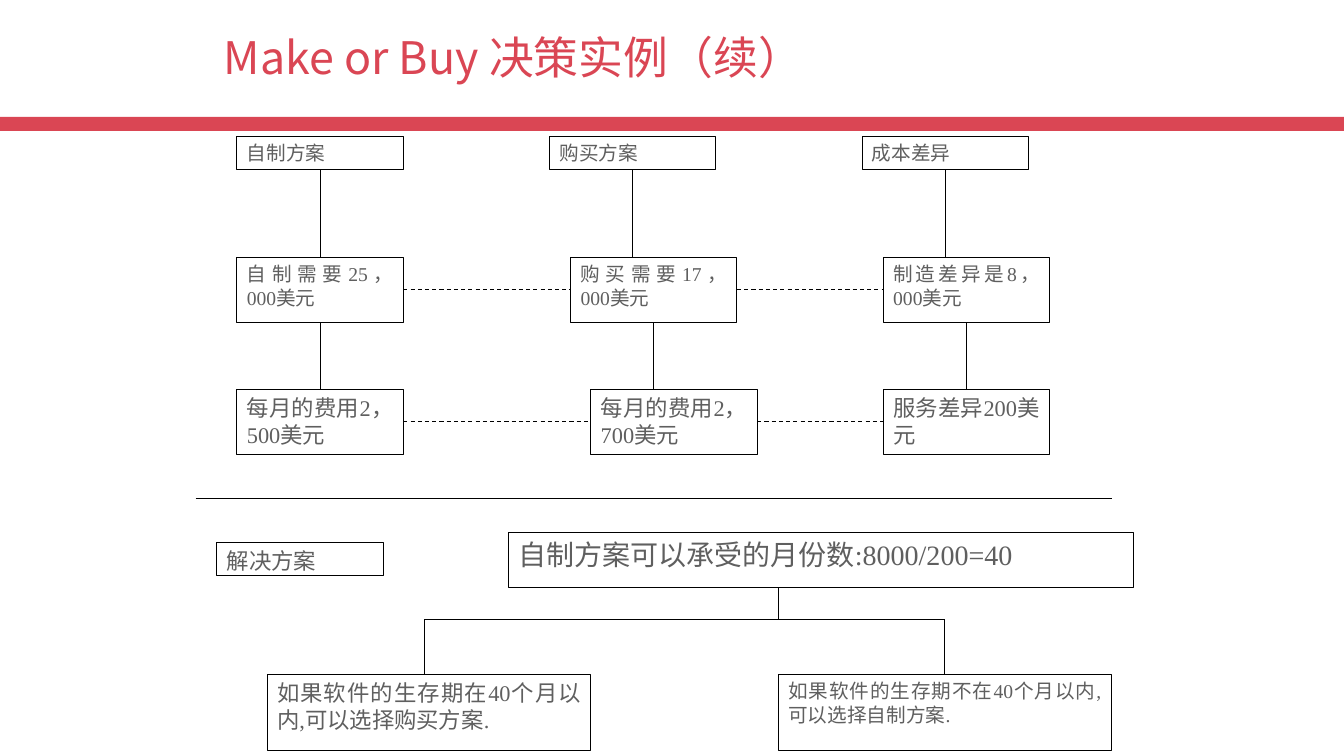
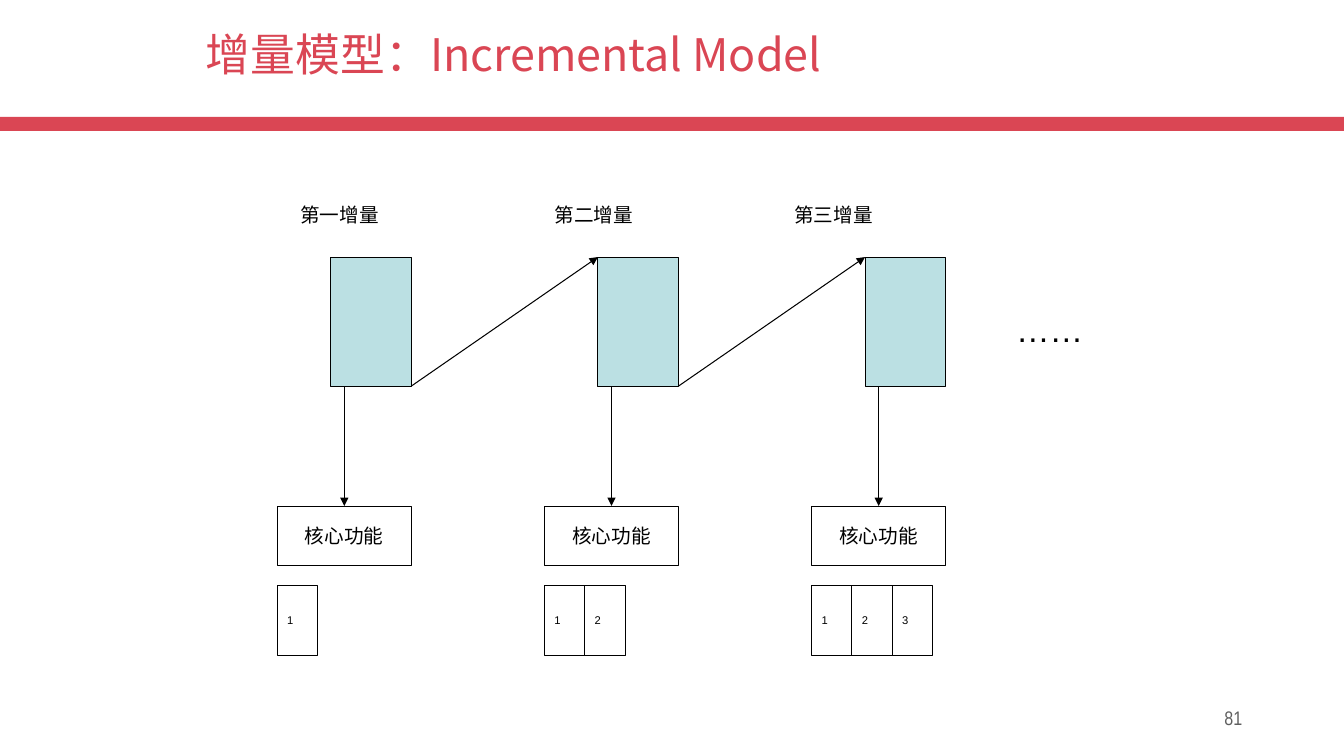
import pptx
import pptx.dml.color
import pptx.enum.dml
import pptx.enum.shapes
import pptx.enum.text
import pptx.oxml
import pptx.oxml.ns
import pptx.util
from pptx.util import Inches

COLORS = {"red": "DA4654", "white": "FFFFFF", "black": "000000",
          "gray": "5F5F5F", "aqua": "BBE0E3"}
CJK = "Noto Sans CJK SC"
ALIGN = pptx.enum.text.PP_ALIGN
ANCHOR = pptx.enum.text.MSO_ANCHOR


def rgb(name):
    """Return the palette colour called name."""
    return pptx.dml.color.RGBColor.from_string(COLORS[name])


class Deck:
    """Hold the shared style and the current slide."""

    def __init__(self):
        """Start an empty widescreen presentation."""
        self.prs = pptx.Presentation()
        self.prs.slide_width = Inches(13.33)
        self.prs.slide_height = Inches(7.5)

    def slide(self, title, x, y, w, h):
        """Add a slide with the red band and a title."""
        self.s = self.prs.slides.add_slide(self.prs.slide_layouts[5])
        self.box(0, 1.16, 13.33, 0.14, fill="red", line=None)
        sp = self.s.shapes.title
        sp.left, sp.top, sp.width, sp.height = map(Inches, (x, y, w, h))
        self.add_text(sp, title, 32, CJK, "red", ALIGN.LEFT)
        sp.text_frame.paragraphs[0].line_spacing = 0.9

    def add_text(self, sp, text, size, font, color, align=ALIGN.JUSTIFY, anchor=ANCHOR.TOP):
        """Put one formatted run into a shape."""
        tf = sp.text_frame
        tf.word_wrap = True
        tf.auto_size = pptx.enum.text.MSO_AUTO_SIZE.NONE
        tf.vertical_anchor = anchor
        p = tf.paragraphs[0]
        p.alignment = align
        r = p.add_run()
        r.text = text
        r.font.size = pptx.util.Pt(size)
        r.font.name = font
        r.font.color.rgb = rgb(color)
        ea = pptx.oxml.parse_xml(f'<a:ea {pptx.oxml.ns.nsdecls("a")} typeface="{CJK}"/>')
        r._r.get_or_add_rPr().append(ea)

    def box(self, x, y, w, h, fill=None, line="black"):
        """Add a rectangle."""
        sp = self.s.shapes.add_shape(pptx.enum.shapes.MSO_SHAPE.RECTANGLE,
                                     *map(Inches, (x, y, w, h)))
        sp.shadow.inherit = False
        if fill:
            sp.fill.solid()
            sp.fill.fore_color.rgb = rgb(fill)
        else:
            sp.fill.background()
        if line:
            sp.line.color.rgb = rgb(line)
            sp.line.width = pptx.util.Pt(0.75)
        else:
            sp.line.fill.background()
        return sp

    def note(self, text, x, y, w, h, size=14):
        """Add a white box with gray text."""
        sp = self.box(x, y, w, h, fill="white")
        self.add_text(sp, text, size, "Times New Roman", "gray")
        return sp

    def label(self, text, x, y, w, h, size=14, font="Arial", color="black",
              align=ALIGN.JUSTIFY):
        """Add a text box."""
        sp = self.s.shapes.add_textbox(*map(Inches, (x, y, w, h)))
        self.add_text(sp, text, size, font, color, align)

    def line(self, x1, y1, x2, y2, begin=None, end=None, dash=False, arrow=False):
        """Add a straight line, joined to (shape, side) where given."""
        c = self.s.shapes.add_connector(pptx.enum.shapes.MSO_CONNECTOR.STRAIGHT,
                                        *map(Inches, (x1, y1, x2, y2)))
        if begin:
            c.begin_connect(*begin)
        if end:
            c.end_connect(*end)
        c.line.color.rgb = rgb("black")
        c.line.width = pptx.util.Pt(0.75)
        if dash:
            c.line.dash_style = pptx.enum.dml.MSO_LINE.DASH
        ns = pptx.oxml.ns.nsdecls("a")
        if arrow:
            c._element.spPr.get_or_add_ln().append(
                pptx.oxml.parse_xml(f'<a:tailEnd {ns} type="triangle"/>'))
        c._element.spPr.append(pptx.oxml.parse_xml(f"<a:effectLst {ns}/>"))


def decision_slide(d):
    """Build the make-or-buy comparison."""
    d.slide("Make or Buy 决策实例（续）", 2.12, 0.3, 8.92, 1.08)
    w = 1.65
    rows = [
        (1.35, 0.33, 14, (2.35, 5.45, 8.55), ("自制方案", "购买方案", "成本差异")),
        (2.55, 0.65, 14, (2.35, 5.66, 8.76),
         ("自制需要25，000美元", "购买需要17，000美元", "制造差异是8，000美元")),
        (3.86, 0.65, 16, (2.35, 5.86, 8.76),
         ("每月的费用2，500美元", "每月的费用2，700美元", "服务差异200美元")),
    ]
    grid = [[d.note(text, x, y, w, h, size) for x, text in zip(xs, texts)]
            for y, h, size, xs, texts in rows]
    for i, (y, h, _, xs, _) in enumerate(rows[:-1]):
        next_y, next_xs = rows[i + 1][0], rows[i + 1][3]
        for j, x in enumerate(xs):
            end = (grid[i + 1][j], 0) if next_xs[j] == x else None
            d.line(x + w / 2, y + h, x + w / 2, next_y, (grid[i][j], 2), end)
    for (y, h, _, xs, _), cells in zip(rows[1:], grid[1:]):
        for j in range(2):
            d.line(xs[j] + w, y + h / 2, xs[j + 1], y + h / 2,
                   (cells[j], 3), (cells[j + 1], 1), dash=True)

    d.line(1.94, 4.95, 11.03, 4.95)
    d.note("解决方案", 2.15, 5.38, w, 0.33, 16)
    d.note("自制方案可以承受的月份数:8000/200=40", 5.04, 5.28, 6.2, 0.55, 20)
    d.note("如果软件的生存期在40个月以内,可以选择购买方案.", 2.65, 6.69, 3.21, 0.76, 16)
    make = d.note("如果软件的生存期不在40个月以内,可以选择自制方案.", 7.72, 6.69, 3.3, 0.76)
    d.line(7.72, 5.83, 7.72, 6.15)
    d.line(4.21, 6.15, 9.37, 6.15)
    d.line(4.21, 6.15, 4.21, 6.69)
    d.line(9.37, 6.15, 9.37, 6.69, end=(make, 0))


def incremental_slide(d):
    """Build the incremental model."""
    d.slide("增量模型：Incremental Model", 1.94, 0.28, 8.5, 1.25)
    d.label("81", 9.42, 6.95, 3, 0.4, 14, "Arial Narrow", "gray", ALIGN.RIGHT)
    steps = (("第一增量", 2.88), ("第二增量", 5.4), ("第三增量", 7.78))
    pitch, core_w, part_w = 2.65, 1.33, 0.4
    top, bottom = 2.55, 3.83
    for i, (name, name_x) in enumerate(steps):
        x = 2.75 + pitch * i
        right = x + core_w
        d.label(name, name_x, 1.96, 1.59, 0.35)
        d.box(x + 0.53, top, 0.8, bottom - top, fill="aqua")
        core = d.box(x, 5.02, core_w, 0.59)
        d.add_text(core, "核心功能", 14, "Arial", "black", ALIGN.CENTER, ANCHOR.MIDDLE)
        for n in range(i + 1):
            part = d.box(x + part_w * n, 5.81, part_w, 0.69)
            d.add_text(part, str(n + 1), 8, "Arial", "black", anchor=ANCHOR.MIDDLE)
        d.line(x + core_w / 2, bottom, x + core_w / 2, 5.02, end=(core, 0), arrow=True)
        if i < len(steps) - 1:
            d.line(right, bottom, x + pitch + 0.53, top, arrow=True)
    d.label("……", 9.98, 3.02, 1.1, 0.52, 24)


def main():
    """Build and save both slides."""
    d = Deck()
    decision_slide(d)
    incremental_slide(d)
    d.prs.save("out.pptx")


if __name__ == "__main__":
    main()
